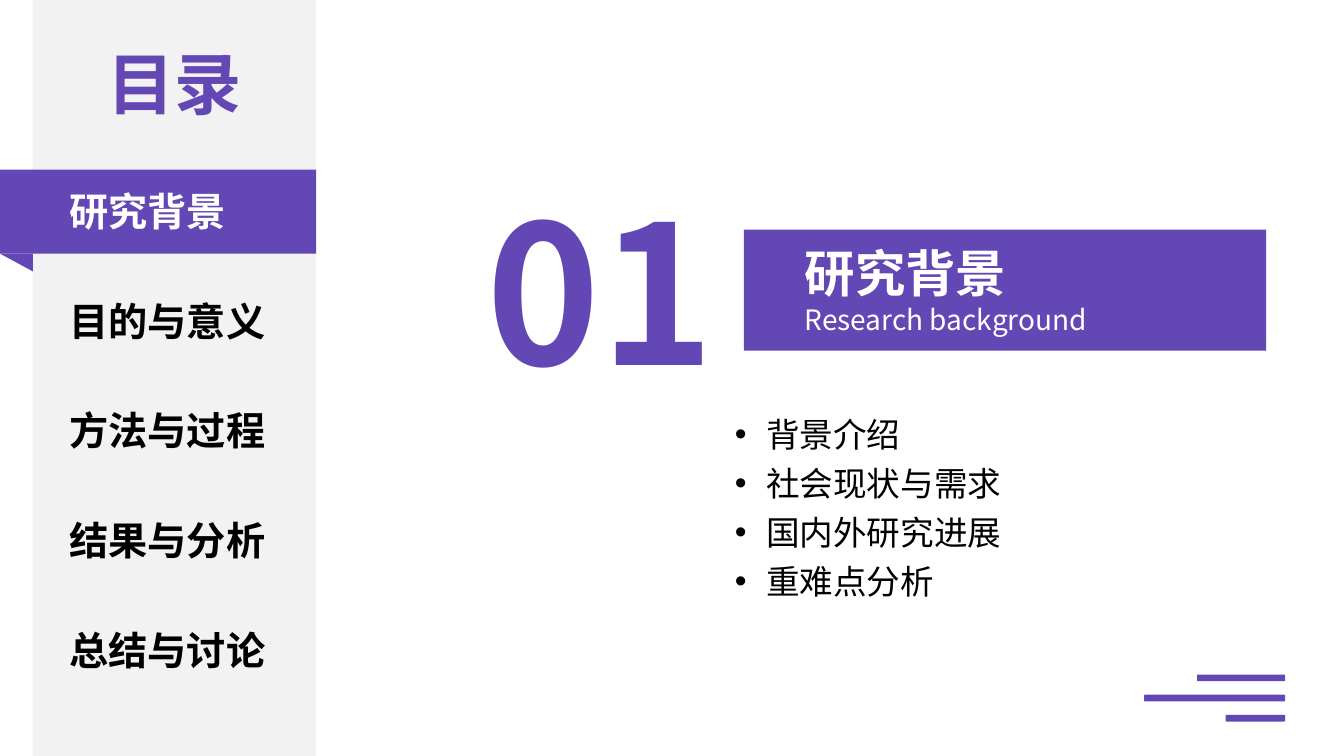
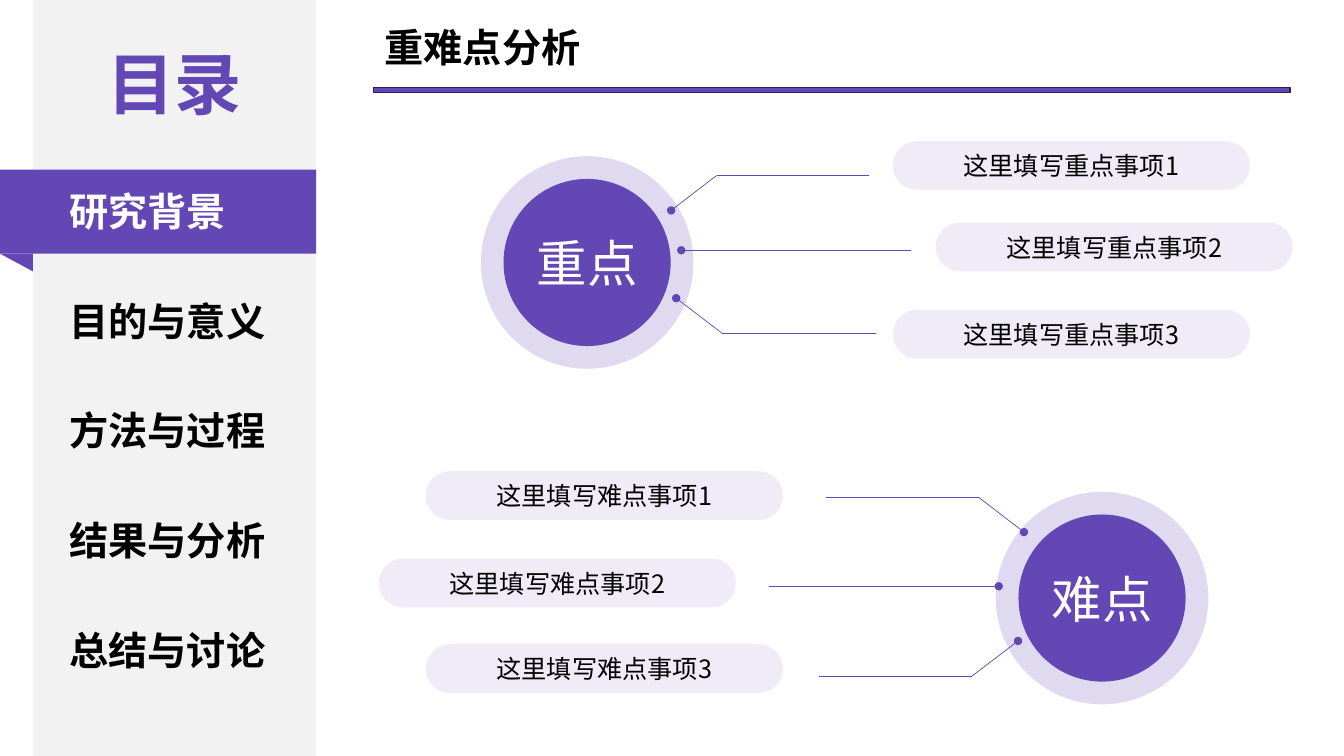
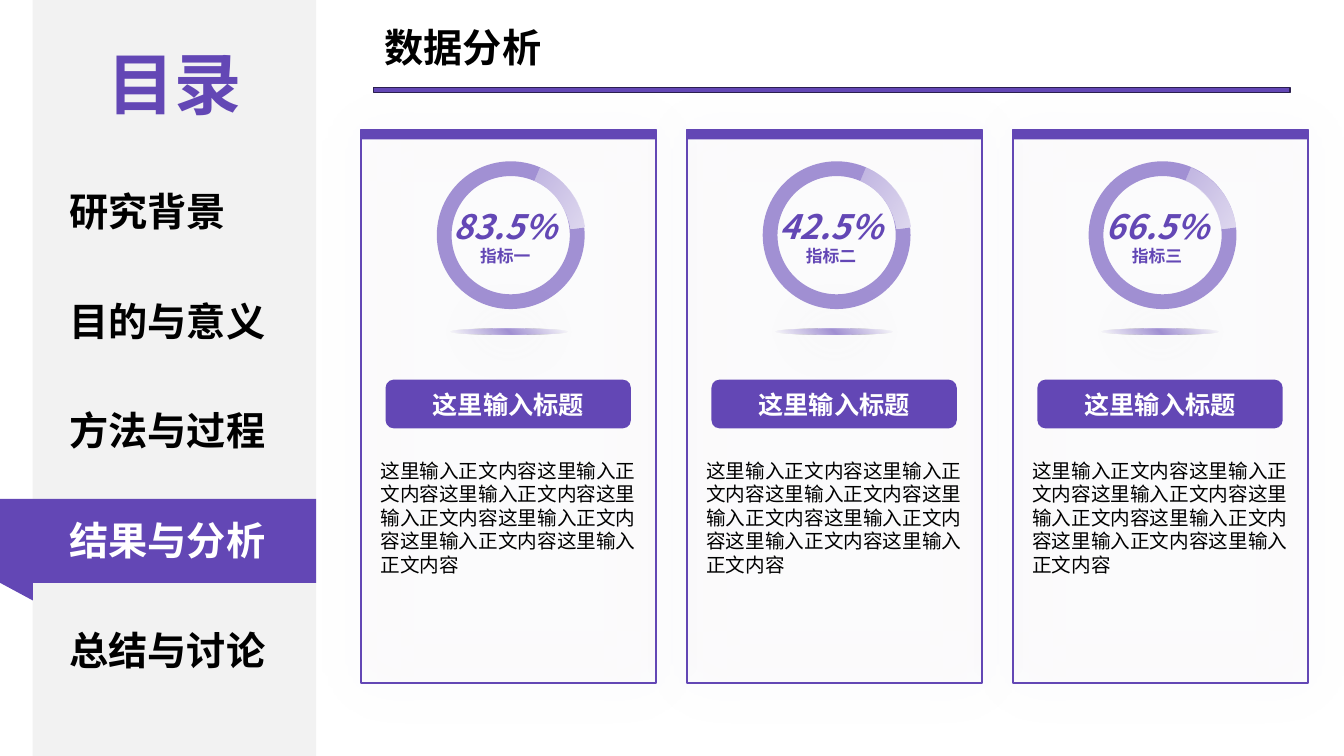
from lxml.etree import SubElement
from pptx import Presentation
from pptx.dml.color import RGBColor
from pptx.enum.shapes import MSO_CONNECTOR, MSO_SHAPE as SHAPE
from pptx.enum.text import MSO_ANCHOR as ANCHOR, MSO_AUTO_SIZE, PP_ALIGN as ALIGN
from pptx.oxml import parse_xml
from pptx.oxml.ns import nsdecls, qn
from pptx.util import Emu, Inches, Pt

PURPLE = RGBColor(0x63, 0x47, 0xB5)
MID_PURPLE = RGBColor(0xA1, 0x90, 0xD3)
PALE_PURPLE = RGBColor(0xE0, 0xDA, 0xF0)
DARK_PURPLE = RGBColor(0x2B, 0x1F, 0x4F)
PANEL_GREY = RGBColor(0xF2, 0xF2, 0xF2)
CARD_GREY = RGBColor(0xE7, 0xE6, 0xE6)
SHADOW_GREY = RGBColor(0x80, 0x80, 0x80)
BLACK = RGBColor(0, 0, 0)
WHITE = RGBColor(0xFF, 0xFF, 0xFF)
FONT = "Noto Sans CJK SC"

# The slide is a grid of 160 columns by 90 rows of square cells.
COLUMNS, ROWS = 160, 90
deck = Presentation()
deck.slide_width, deck.slide_height = Emu(12192000), Emu(6858000)
CELL = deck.slide_width // COLUMNS


def add_block(slide, kind, area, fill=None, opacity=100):
    """Add a preset shape, or a text box if kind is None, at a grid area."""
    left, top, width, height = (Emu(round(n * CELL)) for n in area)
    if kind is None:
        return slide.shapes.add_textbox(left, top, width, height)
    block = slide.shapes.add_shape(kind, left, top, width, height)
    block.shadow.inherit = False
    block.line.fill.background()
    if fill is None:
        block.fill.background()
        return block
    block.fill.solid()
    block.fill.fore_color.rgb = fill
    if opacity < 100:
        color = block.element.spPr.find(qn("a:solidFill"))[0]
        SubElement(color, qn("a:alpha"), val=str(opacity * 1000))
    return block


def write(frame, color, lines, align=ALIGN.LEFT, anchor=ANCHOR.TOP):
    """Fill a frame with (text, size, style) lines; style holds b and i."""
    frame.word_wrap = True
    frame.auto_size = MSO_AUTO_SIZE.NONE
    frame.vertical_anchor = anchor
    for number, (text, size, style) in enumerate(lines):
        paragraph = frame.add_paragraph() if number else frame.paragraphs[0]
        paragraph.alignment = align
        run = paragraph.add_run()
        run.text = text
        font = run.font
        font.name, font.size, font.color.rgb = FONT, Pt(size), color
        font.bold, font.italic = "b" in style, "i" in style
        SubElement(font._element, qn("a:ea"), typeface=FONT)


# Shared frame: contents panel, active tab and title
SECTIONS = ["研究背景", "目的与意义", "方法与过程", "结果与分析", "总结与讨论"]
PANEL_LEFT, PANEL_RIGHT = 3.9, 37.65
TAB_TOP, TAB_HEIGHT, TAB_PITCH = 20.2, 10, 13.06
PAGE_TITLE = (44.6, 2.2, 59.2, 6.8)

pages = [
    (0, WHITE, (94.6, 28.2, 54, 12.5),
     [("研究背景", 36, "b"), ("Research background", 20, "")]),
    (0, BLACK, PAGE_TITLE, [("重难点分析", 28, "b")]),
    (3, BLACK, PAGE_TITLE, [("数据分析", 28, "b")]),
]
for active, title_color, title_area, title_lines in pages:
    slide = deck.slides.add_slide(deck.slide_layouts[5])
    add_block(slide, SHAPE.RECTANGLE,
              (PANEL_LEFT, 0, PANEL_RIGHT - PANEL_LEFT, ROWS), PANEL_GREY)
    contents = add_block(slide, None, (9.1, 4.4, 23.3, 10.9))
    write(contents.text_frame, PURPLE, [("目录", 48, "b")], ALIGN.CENTER)

    tab_top = TAB_TOP + active * TAB_PITCH
    add_block(slide, SHAPE.RECTANGLE, (0, tab_top, PANEL_RIGHT, TAB_HEIGHT), PURPLE)
    fold = add_block(slide, SHAPE.RIGHT_TRIANGLE,
                     (0, tab_top + TAB_HEIGHT, PANEL_LEFT, 2.1), PURPLE)
    fold.rotation = 180
    for row, section in enumerate(SECTIONS):
        entry = add_block(slide, None, (7.1, TAB_TOP + 1.5 + row * TAB_PITCH, 26.5, 6.8))
        write(entry.text_frame, WHITE if row == active else BLACK, [(section, 28, "b")])

    if title_area == PAGE_TITLE:
        rule = add_block(slide, SHAPE.RECTANGLE, (44.5, 10.45, 109.1, 0.6), PURPLE)
        rule.line.color.rgb, rule.line.width = DARK_PURPLE, Pt(1)
    else:
        add_block(slide, SHAPE.RECTANGLE, (88.55, 27.35, 62.2, 14.4), PURPLE)
    title = slide.shapes.title
    title.left, title.top, title.width, title.height = (
        Emu(round(n * CELL)) for n in title_area)
    write(title.text_frame, title_color, title_lines)
    slide.shapes.element.append(title.element)  # bring in front of its band

section_slide, focus_slide, data_slide = deck.slides

# Slide 1: section opener
number = add_block(section_slide, None, (52.2, 19.9, 38.6, 29))
write(number.text_frame, PURPLE, [("01", 138, "b")], ALIGN.CENTER)

topics = add_block(section_slide, None, (86.3, 47.6, 53.3, 24.2)).text_frame
write(topics, BLACK, [(topic, 24, "") for topic in
                      ("背景介绍", "社会现状与需求", "国内外研究进展", "重难点分析")])
for paragraph in topics.paragraphs:
    properties = paragraph._p.get_or_add_pPr()
    properties.set("marL", str(Inches(0.31)))
    properties.set("indent", str(-Inches(0.31)))
    SubElement(properties, qn("a:buFont"), typeface="Arial")
    SubElement(properties, qn("a:buChar"), char="•")
    paragraph.line_spacing = Pt(35)

for row, length in enumerate((10.5, 16.8, 7.1)):
    add_block(section_slide, SHAPE.ROUNDED_RECTANGLE,
              (153 - length, 80.3 + row * 2.4, length, 0.8), PURPLE)

# Slide 2: key points and difficulties, each a hub with three leaders
RING, DISC = 25.3, 19.9
hubs = [
    ("重点", (69.9, 31.25), [
        ((106.3, 16.8), [(79.9, 25.05), (85.3, 20.9), (103.5, 20.9)]),
        ((111.4, 26.5), [(81.1, 29.8), (108.5, 29.8)]),
        ((106.3, 36.9), [(80.5, 35.5), (86, 39.7), (104.3, 39.7)])]),
    ("难点", (131.2, 71.2), [
        ((50.7, 56.1), [(121.9, 63.35), (116.5, 59.2), (98.3, 59.2)]),
        ((45.1, 66.5), [(118.9, 69.8), (91.5, 69.8)]),
        ((50.7, 76.7), [(121.2, 76.3), (115.7, 80.5), (97.5, 80.5)])]),
]
for name, (center_x, center_y), items in hubs:
    for size, color in ((RING, PALE_PURPLE), (DISC, PURPLE)):
        disc = add_block(focus_slide, SHAPE.OVAL,
                         (center_x - size / 2, center_y - size / 2, size, size), color)
    write(disc.text_frame, WHITE, [(name, 36, "")], ALIGN.CENTER, ANCHOR.MIDDLE)
    disc.text_frame.margin_left = disc.text_frame.margin_right = 0

    for order, (corner, points) in enumerate(items, 1):
        pill = add_block(focus_slide, SHAPE.ROUNDED_RECTANGLE,
                         (*corner, 42.5, 5.8), PALE_PURPLE, opacity=50)
        pill.adjustments[0] = 0.5
        write(pill.text_frame, BLACK, [(f"这里填写{name}事项{order}", 18, "")],
              ALIGN.CENTER, ANCHOR.MIDDLE)
        for start, end in zip(points, points[1:]):
            leader = focus_slide.shapes.add_connector(
                MSO_CONNECTOR.STRAIGHT, *(Emu(round(n * CELL)) for n in start + end))
            leader.line.color.rgb, leader.line.width = PURPLE, Pt(0.5)
            if start == points[0]:
                SubElement(leader.line._get_or_add_ln(), qn("a:headEnd"), type="oval")
            SubElement(leader.element.spPr, qn("a:effectLst"))

# Slide 3: three indicator cards
CARD_LEFT, CARD_TOP, CARD_WIDTH, CARD_PITCH = 43, 15.4, 35.1, 38.8
ARC_FADE = ([(0, PALE_PURPLE, 50), (100, PALE_PURPLE, 100)],
            '<a:lin ang="2700000" scaled="0"/>')
GLOW_FADE = ([(0, MID_PURPLE, 0), (50, MID_PURPLE, 100), (100, MID_PURPLE, 0)],
             '<a:path path="circle"><a:fillToRect t="100000" r="100000"/></a:path>')

indicators = [("83.5%", "指标一"), ("42.5%", "指标二"), ("66.5%", "指标三")]
for column, (value, label) in enumerate(indicators):
    left = CARD_LEFT + column * CARD_PITCH
    card = add_block(data_slide, SHAPE.RECTANGLE,
                     (left, CARD_TOP, CARD_WIDTH, 65.9), CARD_GREY, opacity=5)
    card.line.color.rgb, card.line.width = PURPLE, Pt(1)
    add_block(data_slide, SHAPE.RECTANGLE, (left, CARD_TOP, CARD_WIDTH, 1.2), PURPLE)

    gauge = (left + 9, 19.2, 17.6, 17.6)
    ring = add_block(data_slide, SHAPE.DONUT, gauge, MID_PURPLE)
    ring.adjustments[0] = 0.1
    arc = add_block(data_slide, SHAPE.BLOCK_ARC, gauge)
    arc.rotation = 346
    for index, setting in enumerate((184.38, 4.27, 0.1)):
        arc.adjustments[index] = setting
    glow = add_block(data_slide, SHAPE.OVAL, (left + 10.6, 39.1, 13.9, 0.75))

    for faded, (stops, direction) in ((arc, ARC_FADE), (glow, GLOW_FADE)):
        stop_list = "".join(
            f'<a:gs pos="{position * 1000}"><a:srgbClr val="{color}">'
            f'<a:alpha val="{opacity * 1000}"/></a:srgbClr></a:gs>'
            for position, color, opacity in stops)
        properties = faded.element.spPr
        properties.replace(properties.find(qn("a:noFill")), parse_xml(
            f'<a:gradFill {nsdecls("a")} rotWithShape="1">'
            f'<a:gsLst>{stop_list}</a:gsLst>{direction}</a:gradFill>'))
    for shaded, color in ((card, PURPLE), (glow, SHADOW_GREY)):
        shaded.element.spPr.find(qn("a:effectLst")).append(parse_xml(
            f'<a:outerShdw {nsdecls("a")} blurRad="{Pt(40)}" dist="0" algn="ctr" '
            f'rotWithShape="0"><a:srgbClr val="{color}"><a:alpha val="20000"/>'
            f'</a:srgbClr></a:outerShdw>'))

    reading = add_block(data_slide, None, (left + 8.4, 23.9, 17.5, 9))
    write(reading.text_frame, PURPLE, [(value, 24, "bi"), (label, 12, "b")], ALIGN.CENTER)
    heading = add_block(data_slide, SHAPE.ROUNDED_RECTANGLE,
                        (left + 2.9, 45.2, 29.2, 5.8), PURPLE)
    write(heading.text_frame, WHITE, [("这里输入标题", 18, "b")],
          ALIGN.CENTER, ANCHOR.MIDDLE)
    body = add_block(data_slide, None, (left + 1.1, 54, 32.8, 18.1))
    write(body.text_frame, BLACK, [("这里输入正文内容" * 7, 14, "")])

deck.save("out.pptx")
